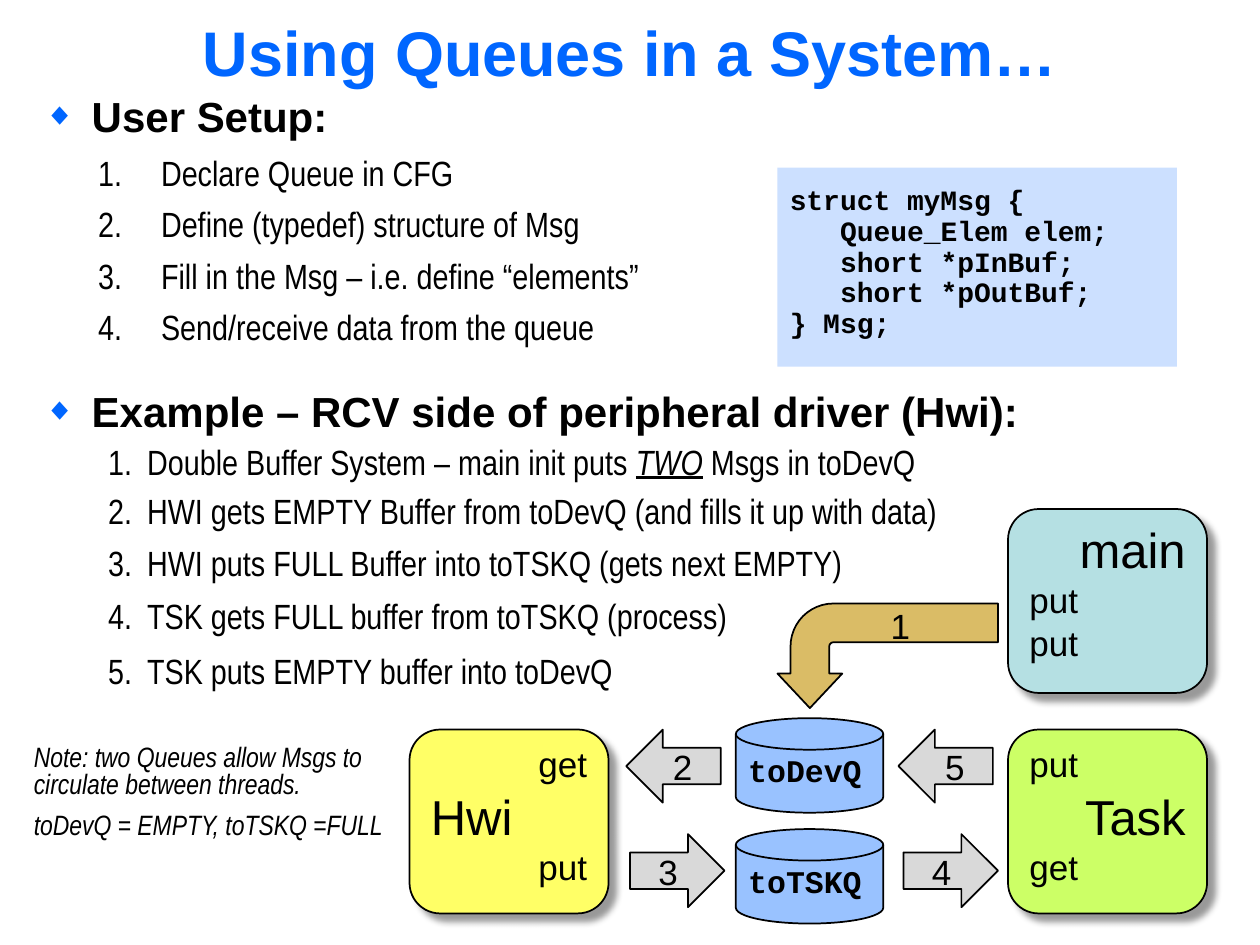
from lxml.etree import SubElement
from pptx import Presentation
from pptx.dml.color import RGBColor
from pptx.enum.shapes import MSO_SHAPE
from pptx.enum.text import MSO_ANCHOR, MSO_AUTO_SIZE, PP_ALIGN
from pptx.oxml.ns import qn
from pptx.util import Inches, Pt

COLORS = {
    "text": "000000", "accent": "0066FF", "code": "CCE0FF", "queue": "99C2FF",
    "step": "D9D9D9", "bend": "DABC66", "main": "B5E0E3", "hwi": "FFFF66", "task": "CCFF66",
}
LEFT, CENTER, RIGHT, JUSTIFY = PP_ALIGN.LEFT, PP_ALIGN.CENTER, PP_ALIGN.RIGHT, PP_ALIGN.JUSTIFY

TITLE = "Using Queues in a System…"
HEADINGS = [
    ("User Setup:", 0.75, 2.47),
    ("Example – RCV side of peripheral driver (Hwi):", 3.09, 8.06),
]
SETUP = [
    "Declare Queue in CFG",
    "Define (typedef) structure of Msg",
    "Fill in the Msg – i.e. define “elements”",
    "Send/receive data from the queue",
]
CODE = [
    ("struct myMsg {", 0), ("Queue_Elem elem;", 0.4), ("short *pInBuf;", 0.4),
    ("short *pOutBuf;", 0.4), ("} Msg;", 0),
]
EXAMPLE = [
    (["Double Buffer System – main init puts ", "TWO", " Msgs in toDevQ"], 3.51, 6.65),
    (["HWI gets EMPTY Buffer from toDevQ (and fills it up with data)"], 3.9, 6.83),
    (["HWI puts FULL Buffer into toTSKQ (gets next EMPTY)"], 4.31, 6.08),
    (["TSK gets FULL buffer from toTSKQ (process)"], 4.73, 5.16),
    (["TSK puts EMPTY buffer into toDevQ"], 5.17, 4.24),
]
NOTE = [
    ["Note: two Queues allow Msgs to", "circulate between threads."],
    ["toDevQ = EMPTY, toTSKQ =FULL"],
]
THREADS = [
    ("task", 8, 5.79, [("put", 20, LEFT), ("Task", 28, RIGHT), ("get", 20, LEFT)]),
    ("hwi", 3.25, 5.79, [("get", 20, RIGHT), ("Hwi", 28, LEFT), ("put", 20, RIGHT)]),
    ("main", 8, 4.04, [("main", 28, RIGHT), ("put", 20, LEFT), ("put", 20, LEFT)]),
]
QUEUES = [("toDevQ", 5.7), ("toTSKQ", 6.58)]
STEPS = [
    ("5", MSO_SHAPE.LEFT_ARROW, 7.13, 5.79),
    ("4", MSO_SHAPE.RIGHT_ARROW, 7.17, 6.62),
    ("2", MSO_SHAPE.LEFT_ARROW, 4.97, 5.79),
    ("3", MSO_SHAPE.RIGHT_ARROW, 5, 6.62),
]

deck = Presentation()
deck.slide_width, deck.slide_height = Inches(10), Inches(7.5)
page = deck.slides.add_slide(deck.slide_layouts[5])


def color(name):
    return RGBColor.from_string(COLORS[name])


def add_span(para, text, size, font="Arial", bold=False, italic=False, tint="text"):
    span = para.add_run()
    span.text = text
    span.font.size, span.font.name = Pt(size), font
    span.font.bold, span.font.italic = bold, italic
    span.font.color.rgb = color(tint)
    return span


def add_para(box, index, spacing=0.8, align=LEFT, margin=0, hanging=0):
    frame = box.text_frame
    para = frame.add_paragraph() if index else frame.paragraphs[0]
    para.alignment, para.line_spacing = align, spacing
    props = para._p.get_or_add_pPr()
    before = SubElement(props, qn("a:spcBef"))
    SubElement(before, qn("a:spcPct"), val="50000")
    props.set("marL", str(Inches(margin)))
    props.set("indent", str(-Inches(hanging)))
    return para


def add_diamond(para):
    props = para._p.get_or_add_pPr()
    tint = SubElement(props, qn("a:buClr"))
    SubElement(tint, qn("a:srgbClr"), val=COLORS["accent"])
    SubElement(props, qn("a:buSzPct"), val="75000")
    SubElement(props, qn("a:buFont"), typeface="Arial")
    SubElement(props, qn("a:buChar"), char="◆")


def add_number(para, start=1):
    props = para._p.get_or_add_pPr()
    SubElement(props, qn("a:buFont"), typeface="Arial Narrow")
    SubElement(props, qn("a:buAutoNum"), type="arabicPeriod", startAt=str(start))


def add_text(left, top, width, height):
    box = page.shapes.add_textbox(Inches(left), Inches(top), Inches(width), Inches(height))
    box.text_frame.word_wrap = False
    box.text_frame.auto_size = MSO_AUTO_SIZE.SHAPE_TO_FIT_TEXT
    return box


def add_block(kind, left, top, width, height, fill, outlined=True):
    block = page.shapes.add_shape(kind, Inches(left), Inches(top), Inches(width), Inches(height))
    block.shadow.inherit = False
    block.fill.solid()
    block.fill.fore_color.rgb = color(fill)
    if outlined:
        block.line.color.rgb, block.line.width = color("text"), Pt(1)
    else:
        block.line.fill.background()
    block.text_frame.vertical_anchor = MSO_ANCHOR.MIDDLE
    return block


def add_shadow(block):
    effects = block._element.spPr.find(qn("a:effectLst"))
    shadow = SubElement(effects, qn("a:outerShdw"), blurRad=str(Pt(4)), dist=str(Pt(6)),
                        dir="2700000", algn="tl", rotWithShape="0")
    tint = SubElement(shadow, qn("a:srgbClr"), val=COLORS["text"])
    SubElement(tint, qn("a:alpha"), val="40000")


title = page.shapes.title
title.left, title.top, title.width, title.height = 0, 0, Inches(10), Inches(0.81)
title.text_frame.word_wrap = False
title.text_frame.auto_size = MSO_AUTO_SIZE.NONE
title.text_frame.vertical_anchor = MSO_ANCHOR.MIDDLE
title.text_frame.paragraphs[0].alignment = CENTER
add_span(title.text_frame.paragraphs[0], TITLE, 36, bold=True, tint="accent")

for text, top, width in HEADINGS:
    para = add_para(add_text(0.25, top, width, 0.42), 0, margin=0.38, hanging=0.38)
    add_diamond(para)
    add_span(para, text, 24, bold=True)

setup = add_text(0.68, 1.22, 4.52, 1.68)
for index, text in enumerate(SETUP):
    para = add_para(setup, index, margin=0.5, hanging=0.5)
    add_number(para)
    add_span(para, text, 20, "Arial Narrow")

code = add_block(MSO_SHAPE.RECTANGLE, 6.17, 1.33, 3.17, 1.58, "code", outlined=False)
for index, (text, margin) in enumerate(CODE):
    add_span(add_para(code, index, 0.5, margin=margin), text, 16, "Courier New", bold=True)

for number, (texts, top, width) in enumerate(EXAMPLE, 1):
    para = add_para(add_text(0.76, top, width, 0.37), 0, margin=0.31, hanging=0.31)
    add_number(para, number)
    for text in texts:
        stressed = text == "TWO"
        span = add_span(para, text, 20, "Arial Narrow", italic=stressed)
        span.font.underline = stressed

for fill, left, top, lines in THREADS:
    thread = add_block(MSO_SHAPE.ROUNDED_RECTANGLE, left, top, 1.58, 1.46, fill)
    add_shadow(thread)
    for index, (text, size, align) in enumerate(lines):
        add_span(add_para(thread, index, 0.6, align), text, size)

for text, top in QUEUES:
    queue = add_block(MSO_SHAPE.FLOWCHART_MAGNETIC_DISK, 5.84, top, 1.17, 0.75, "queue")
    add_span(add_para(queue, 0, align=JUSTIFY), text, 18, "Courier New", bold=True)

for text, kind, left, top in STEPS:
    step = add_block(kind, left, top, 0.75, 0.58, "step")
    step.text_frame.vertical_anchor = MSO_ANCHOR.TOP
    add_span(add_para(step, 0, align=CENTER), text, 20)

bend = add_block(MSO_SHAPE.BENT_ARROW, 6.63, 4.33, 0.83, 1.75, "bend")
bend.rotation = 270
bend._element.spPr.find(qn("a:xfrm")).set("flipH", "1")
for index, value in enumerate([0.37, 0.31, 0.33, 0.41]):
    bend.adjustments[index] = value
add_span(add_para(add_text(6.97, 4.81, 0.36, 0.37), 0), "1", 20)

note = add_text(0.17, 5.87, 3.11, 0.88)
for index, lines in enumerate(NOTE):
    para = add_para(note, index)
    for row, text in enumerate(lines):
        if row:
            para.add_line_break()
        add_span(para, text, 16, "Arial Narrow", italic=True)

deck.save("out.pptx")
